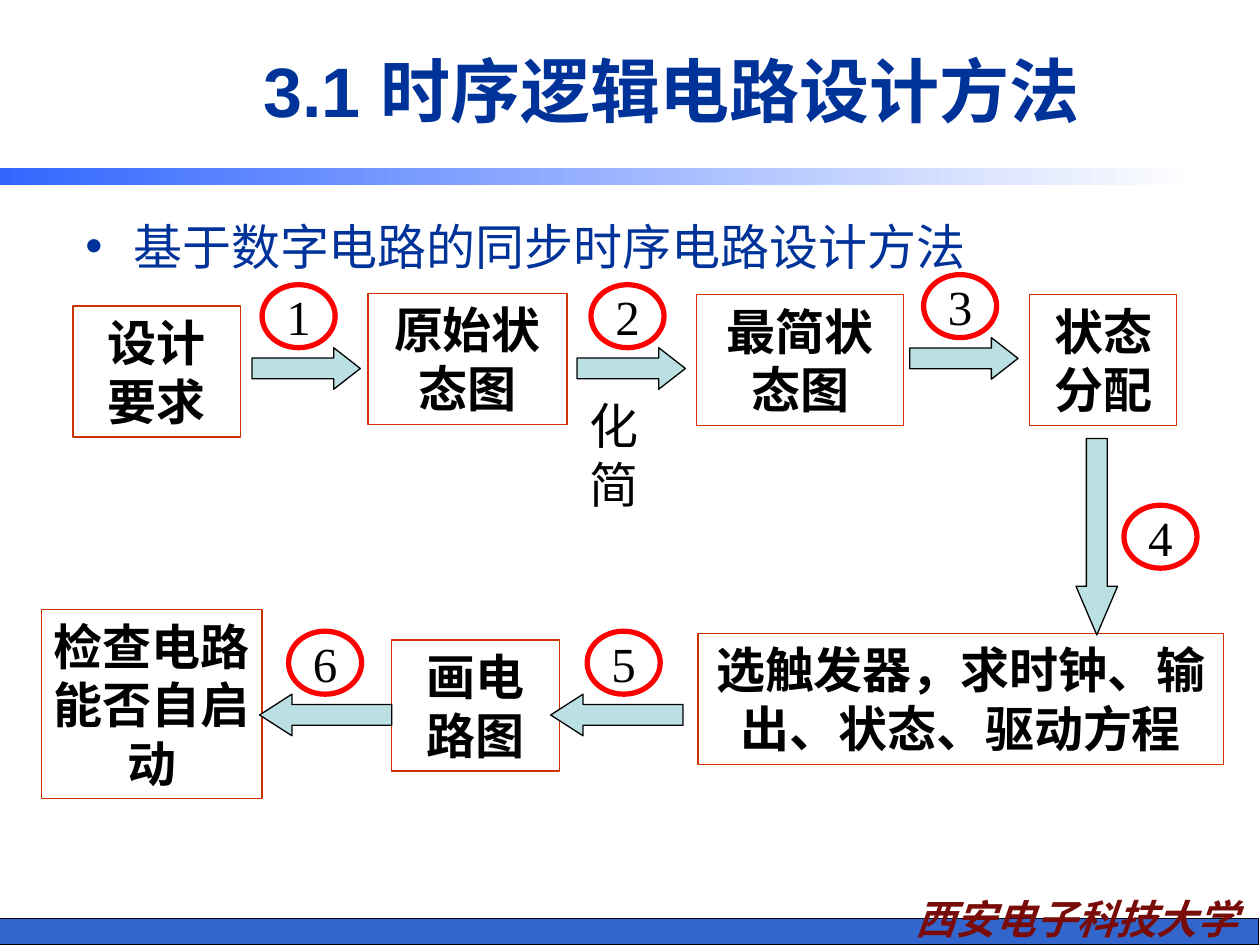
import pptx
import pptx.util
import pptx.dml.color
import pptx.enum.shapes
import pptx.enum.text
from lxml import etree

Inches, Pt = pptx.util.Inches, pptx.util.Pt
KIND = pptx.enum.shapes.MSO_SHAPE
ALIGN = pptx.enum.text.PP_ALIGN
ANCHOR = pptx.enum.text.MSO_ANCHOR
NS = "http://schemas.openxmlformats.org/drawingml/2006/main"
SERIF, SANS, HAN = "Times New Roman", "Arial", "Noto Sans CJK SC"
NAVY, BLACK = "003399", "000000"

# Content: text, left, top, width, height
TITLE = "3.1 时序逻辑电路设计方法"
POINT = "基于数字电路的同步时序电路设计方法"
SCHOOL = "西安电子科技大学"
BOXES = [
    ("设计要求", 0.58, 2.43, 1.33, 1.04),
    ("原始状态图", 2.92, 2.33, 1.58, 1.04),
    ("最简状态图", 5.53, 2.34, 1.64, 1.04),
    ("状态分配", 8.17, 2.34, 1.17, 1.04),
    ("选触发器，求时钟、输出、状态、驱动方程", 5.54, 5.03, 4.17, 1.04),
    ("画电路图", 3.11, 5.08, 1.33, 1.04),
    ("检查电路能否自启动", 0.33, 4.84, 1.75, 1.5),
]
# Arrow kinds: preset, width, height, head ratio
ARROWS = {
    "right": (KIND.RIGHT_ARROW, 0.86, 0.33, 0.64),
    "down": (KIND.DOWN_ARROW, 0.33, 1.56, 1.17),
    "left": (KIND.LEFT_ARROW, 1.05, 0.33, 0.78),
}
# Steps in order: arrow kind, arrow left and top, ring left and top
STEPS = [
    ("right", 2, 2.76, 2.08, 2.26),
    ("right", 4.58, 2.76, 4.69, 2.26),
    ("right", 7.22, 2.68, 7.33, 2.18),
    ("down", 8.54, 3.48, 8.92, 4.01),
    ("left", 4.37, 5.51, 4.66, 5.01),
    ("left", 2.06, 5.51, 2.29, 5.01),
]


def color(code):
    return pptx.dml.color.RGBColor.from_string(code)


def place(shape, *spot):
    shape.left, shape.top, shape.width, shape.height = map(Inches, spot)


def write(shape, text, size=28, face=SERIF, ink=BLACK, bold=False,
          italic=False, align=ALIGN.CENTER, anchor=ANCHOR.TOP, wrap=True):
    frame = shape.text_frame
    frame.text = text
    frame.word_wrap = wrap
    frame.vertical_anchor = anchor
    para = frame.paragraphs[0]
    para.alignment = align
    for run in para.runs:
        font = run.font
        font.size, font.name = Pt(size), face
        font.bold, font.italic = bold, italic
        font.color.rgb = color(ink)
        etree.SubElement(font._element, f"{{{NS}}}ea", typeface=HAN)
    return para


def draw(kind, spot, line=None, fill=None, weight=0.75):
    shape = slide.shapes.add_shape(kind, *map(Inches, spot))
    shape.shadow.inherit = False
    if fill:
        shape.fill.solid()
        shape.fill.fore_color.rgb = color(fill)
    else:
        shape.fill.background()
    if line:
        shape.line.color.rgb = color(line)
        shape.line.width = Pt(weight)
    else:
        shape.line.fill.background()
    return shape


def label(text, spot, **style):
    return write(slide.shapes.add_textbox(*map(Inches, spot)), text, **style)


deck = pptx.Presentation()
deck.slide_width, deck.slide_height = Inches(10), Inches(7.5)
slide = deck.slides.add_slide(deck.slide_layouts[5])

# Footer band and school name
draw(KIND.RECTANGLE, (-0.01, 7.29, 10, 0.21), BLACK, "3366CC")
label(SCHOOL, (6.97, 7.05, 3.15, 0.49), size=23, face=HAN, ink="790C09",
      bold=True, italic=True)

# Title and fading rule
title = slide.shapes.title
place(title, 1.33, 0.17, 8, 1.08)
write(title, TITLE, 40, SANS, NAVY, bold=True, anchor=ANCHOR.MIDDLE)
rule = draw(KIND.RECTANGLE, (0, 1.33, 9.51, 0.14))
rule.fill.gradient()
rule.fill.gradient_angle = 0
for stop, code in zip(rule.fill.gradient_stops, ("3366FF", "FFFFFF")):
    stop.color.rgb = color(code)

# Bullet point
point = label(POINT, (0.58, 1.67, 9, 0.57), face=SANS, ink=NAVY, align=ALIGN.LEFT)
props = point._p.get_or_add_pPr()
props.set("marL", str(Inches(0.38)))
props.set("indent", str(-Inches(0.38)))
tint = etree.SubElement(props, f"{{{NS}}}buClr")
etree.SubElement(tint, f"{{{NS}}}srgbClr", val=NAVY)
etree.SubElement(props, f"{{{NS}}}buFont", typeface=SANS)
etree.SubElement(props, f"{{{NS}}}buChar", char="•")

# Flow boxes
for text, *spot in BOXES:
    write(draw(KIND.RECTANGLE, spot, "CC3300"), text, bold=True)

# Arrows with numbered rings
for number, (way, left, top, ring_x, ring_y) in enumerate(STEPS, 1):
    kind, width, height, head = ARROWS[way]
    arrow = draw(kind, (left, top, width, height), BLACK, "BBE0E3")
    arrow.adjustments[0], arrow.adjustments[1] = 0.5, head
    ring = draw(KIND.OVAL, (ring_x, ring_y, 0.58, 0.5), "FF0000", weight=3)
    write(ring, str(number), anchor=ANCHOR.MIDDLE, wrap=False)

# Note under step 2
label("化简", (4.58, 3.09, 0.92, 1.04), align=ALIGN.LEFT)

deck.save("out.pptx")
